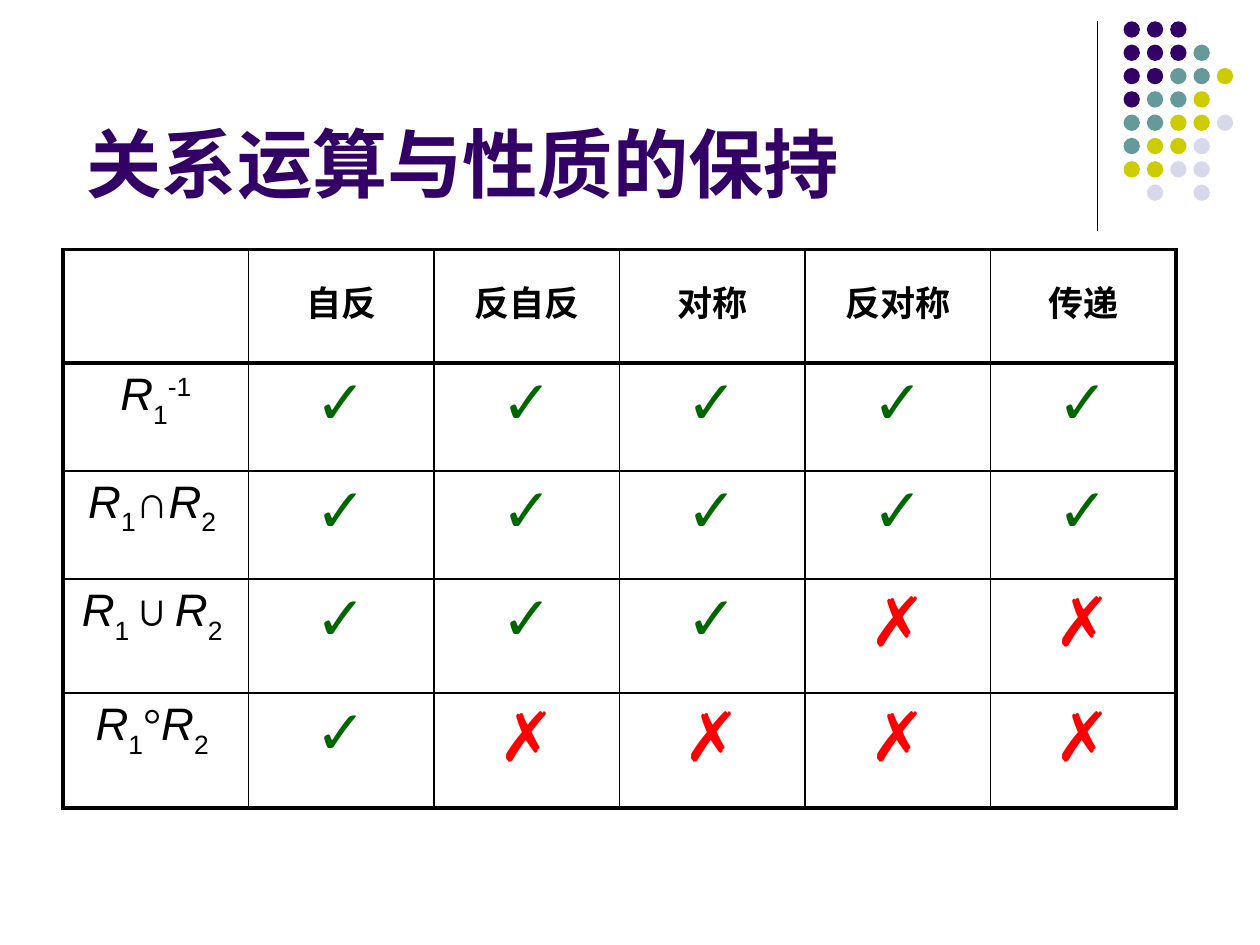
from dataclasses import dataclass

from lxml import etree
from pptx import Presentation
from pptx.dml.color import RGBColor
from pptx.enum.shapes import MSO_CONNECTOR, MSO_SHAPE
from pptx.enum.text import MSO_ANCHOR, PP_ALIGN
from pptx.oxml.ns import qn
from pptx.util import Cm, Pt

LINE = MSO_CONNECTOR.STRAIGHT
OVAL = MSO_SHAPE.OVAL
BOTTOM = MSO_ANCHOR.BOTTOM
CENTER = PP_ALIGN.CENTER


@dataclass(frozen=True)
class Theme:
    purple: str = "330066"
    teal: str = "669999"
    olive: str = "CCCC00"
    lavender: str = "D8D8EC"
    black: str = "000000"
    green: str = "006600"
    red: str = "FF0000"
    font: str = "Arial"
    symbol_font: str = "Times New Roman"
    title_size: float = 43
    header_size: float = 20
    relation_size: float = 26
    check_size: float = 35
    cross_size: float = 39
    inner_border: float = 1
    outer_border: float = 2.25
    header_border: float = 3


THEME = Theme()

# One letter per dot; a space leaves the place empty
DOT_ROWS = ["PPP", "PPPT", "PPTTO", "PTTO", "TTOOL", "TOOL", "OOLL", " L L"]
DOT_COLORS = {"P": THEME.purple, "T": THEME.teal, "O": THEME.olive, "L": THEME.lavender}

PROPERTIES = ["自反", "反自反", "对称", "反对称", "传递"]
ROW_HEIGHTS = [2.29, 2.17, 2.18, 2.3, 2.32]
COLUMN_WIDTH = 3.74


def add_run(paragraph, text, size, color=THEME.black, bold=False, italic=False,
            font=THEME.font, baseline=0):
    run = paragraph.add_run()
    run.text = text
    run.font.size = Pt(size)
    run.font.name = font
    run.font.bold = bold
    run.font.italic = italic
    run.font.color.rgb = RGBColor.from_string(color)
    if baseline:
        run.font._element.set("baseline", str(baseline * 1000))


def add_title(slide, text):
    title = slide.shapes.add_textbox(Cm(1.5), Cm(1.12), Cm(22.23), Cm(3.18))
    frame = title.text_frame
    frame.word_wrap = True
    frame.vertical_anchor = BOTTOM
    add_run(frame.paragraphs[0], text, THEME.title_size, THEME.purple, bold=True)


def add_divider(slide):
    divider = slide.shapes.add_connector(LINE, Cm(22.12), Cm(0.43), Cm(22.12), Cm(4.65))
    divider.line.color.rgb = RGBColor.from_string(THEME.black)
    divider.line.width = Pt(0.75)
    etree.SubElement(divider._element.spPr, qn("a:effectLst"))


def add_dots(slide):
    left, top, pitch, diameter = 22.65, 0.43, 0.47, 0.33
    dots = slide.shapes.add_group_shape()
    for row, codes in enumerate(DOT_ROWS):
        for column, code in enumerate(codes):
            if code == " ":
                continue
            dot = dots.shapes.add_shape(OVAL, Cm(left + column * pitch), Cm(top + row * pitch),
                                        Cm(diameter), Cm(diameter))
            dot.shadow.inherit = False
            dot.fill.solid()
            dot.fill.fore_color.rgb = RGBColor.from_string(DOT_COLORS[code])
            dot.line.fill.background()


def set_borders(cell, widths):
    properties = cell._tc.get_or_add_tcPr()
    for side, width in widths.items():
        border = etree.SubElement(properties, qn(f"a:ln{side}"), w=str(Pt(width)))
        fill = etree.SubElement(border, qn("a:solidFill"))
        etree.SubElement(fill, qn("a:srgbClr"), val=THEME.black)


def border_widths(row, column, last_row, last_column):
    inner, outer, header = THEME.inner_border, THEME.outer_border, THEME.header_border
    return {
        "L": outer if column == 0 else inner,
        "R": outer if column == last_column else inner,
        "T": {0: outer, 1: header}.get(row, inner),
        "B": {0: header, last_row: outer}.get(row, inner),
    }


def write_property(cell, name):
    cell.margin_top = Cm(0.53)
    add_run(cell.text_frame.paragraphs[0], name, THEME.header_size, bold=True)


def write_inverse(paragraph):
    size = THEME.relation_size
    add_run(paragraph, "R", size, italic=True)
    add_run(paragraph, "1", size, baseline=-30)
    add_run(paragraph, "-1", size, baseline=30)


def write_operation(paragraph, operator):
    size = THEME.relation_size
    add_run(paragraph, "R", size, italic=True)
    add_run(paragraph, "1", size, baseline=-30)
    add_run(paragraph, operator, size, font=THEME.symbol_font)
    add_run(paragraph, "R", size, italic=True)
    add_run(paragraph, "2 ", size, baseline=-30)


def write_mark(paragraph, mark):
    if mark == "✓":
        add_run(paragraph, mark, THEME.check_size, THEME.green, bold=True)
    else:
        add_run(paragraph, mark, THEME.cross_size, THEME.red, bold=True)


def add_closure_table(slide):
    rows, columns = len(ROW_HEIGHTS), len(PROPERTIES) + 1
    table = slide.shapes.add_table(rows, columns, Cm(1.27), Cm(5.03),
                                   Cm(columns * COLUMN_WIDTH), Cm(sum(ROW_HEIGHTS))).table
    table.first_row = False
    table.horz_banding = False
    for column in table.columns:
        column.width = Cm(COLUMN_WIDTH)
    for row, height in zip(table.rows, ROW_HEIGHTS):
        row.height = Cm(height)

    # Borders, fill and alignment
    for r in range(rows):
        for c in range(columns):
            cell = table.cell(r, c)
            set_borders(cell, border_widths(r, c, rows - 1, columns - 1))
            cell.fill.background()
            cell.text_frame.paragraphs[0].alignment = CENTER

    # Property names
    for c, name in enumerate(PROPERTIES, start=1):
        write_property(table.cell(0, c), name)

    # Relations and whether each property is kept
    relations = [("", "✓✓✓✓✓"), ("∩", "✓✓✓✓✓"), ("∪", "✓✓✓✗✗"), ("°", "✓✗✗✗✗")]
    for r, (operator, marks) in enumerate(relations, start=1):
        relation = table.cell(r, 0).text_frame.paragraphs[0]
        if operator:
            write_operation(relation, operator)
        else:
            write_inverse(relation)
        for c, mark in enumerate(marks, start=1):
            write_mark(table.cell(r, c).text_frame.paragraphs[0], mark)


def main():
    presentation = Presentation()
    presentation.slide_width = Cm(25.4)
    presentation.slide_height = Cm(19.05)
    slide = presentation.slides.add_slide(presentation.slide_layouts[6])
    add_divider(slide)
    add_dots(slide)
    add_title(slide, "关系运算与性质的保持")
    add_closure_table(slide)
    presentation.save("out.pptx")


if __name__ == "__main__":
    main()
